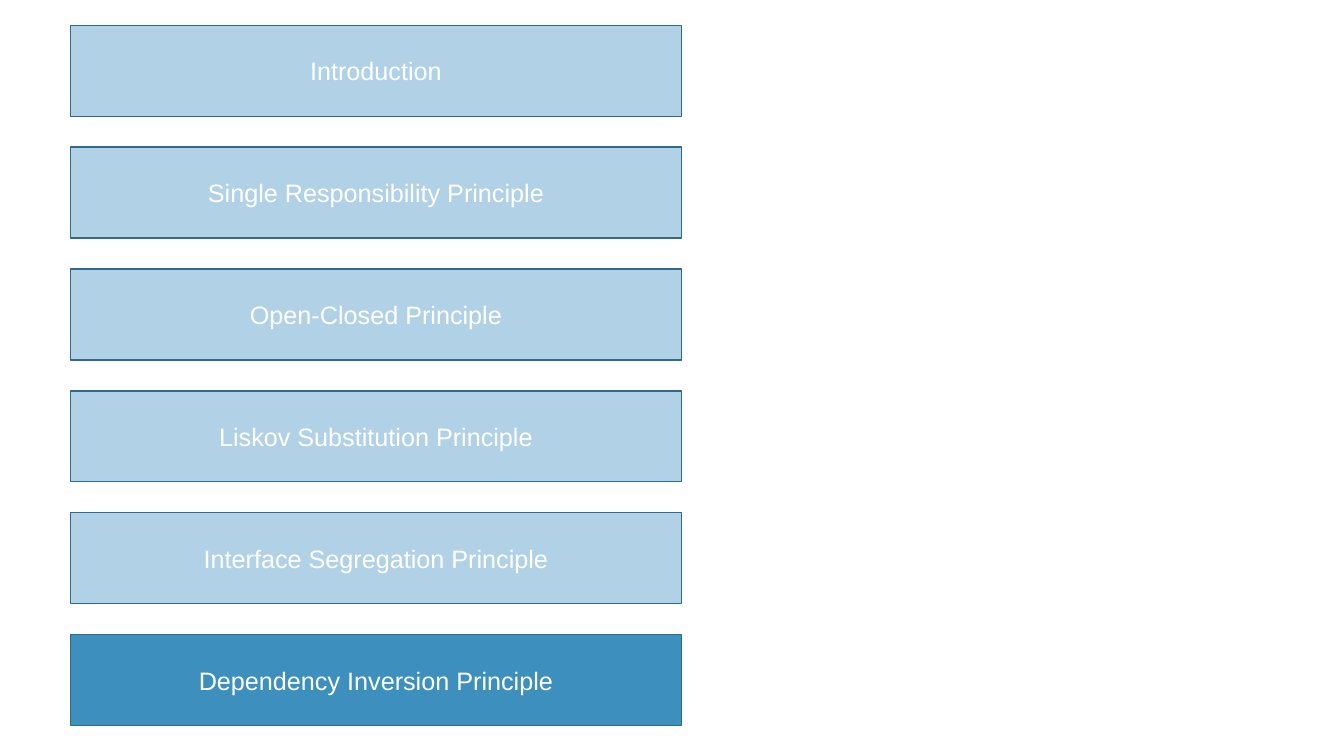
from pptx import Presentation
from pptx import util as u
from pptx.dml.color import RGBColor
from pptx.enum import shapes, text

COLOURS = {
    "past": "B1D2E6",
    "current": "3D8FBE",
    "border": "2D6A8D",
    "label": "FFFFFF",
}
LABEL_FORMAT = {"name": "Arial", "size": u.Pt(18)}

TOPICS = [
    "Introduction",
    "Single Responsibility Principle",
    "Open-Closed Principle",
    "Liskov Substitution Principle",
    "Interface Segregation Principle",
    "Dependency Inversion Principle",
]
CURRENT_TOPIC = TOPICS[-1]

AGENDA_LEFT, AGENDA_TOP = 1.78, 0.64
BAR_WIDTH, BAR_HEIGHT = 15.39, 2.29
BAR_PITCH = 3.07


def colour(key):
    return RGBColor.from_string(COLOURS[key])


def add_topic_bar(slide, topic, top, fill):
    bar = slide.shapes.add_shape(
        shapes.MSO_SHAPE.RECTANGLE,
        u.Cm(AGENDA_LEFT), u.Cm(top), u.Cm(BAR_WIDTH), u.Cm(BAR_HEIGHT),
    )
    bar.shadow.inherit = False
    bar.fill.solid()
    bar.fill.fore_color.rgb = colour(fill)
    bar.line.color.rgb = colour("border")
    bar.line.width = u.Pt(1)

    bar.text_frame.vertical_anchor = text.MSO_ANCHOR.MIDDLE
    label = bar.text_frame.paragraphs[0]
    label.text = topic
    label.alignment = text.PP_ALIGN.CENTER
    for attribute, value in LABEL_FORMAT.items():
        setattr(label.font, attribute, value)
    label.font.color.rgb = colour("label")


def main():
    deck = Presentation()
    deck.slide_width, deck.slide_height = u.Cm(33.87), u.Cm(19.05)
    agenda = deck.slides.add_slide(deck.slide_layouts[6])
    for row, topic in enumerate(TOPICS):
        fill = "current" if topic == CURRENT_TOPIC else "past"
        add_topic_bar(agenda, topic, AGENDA_TOP + row * BAR_PITCH, fill)
    deck.save("out.pptx")


if __name__ == "__main__":
    main()
